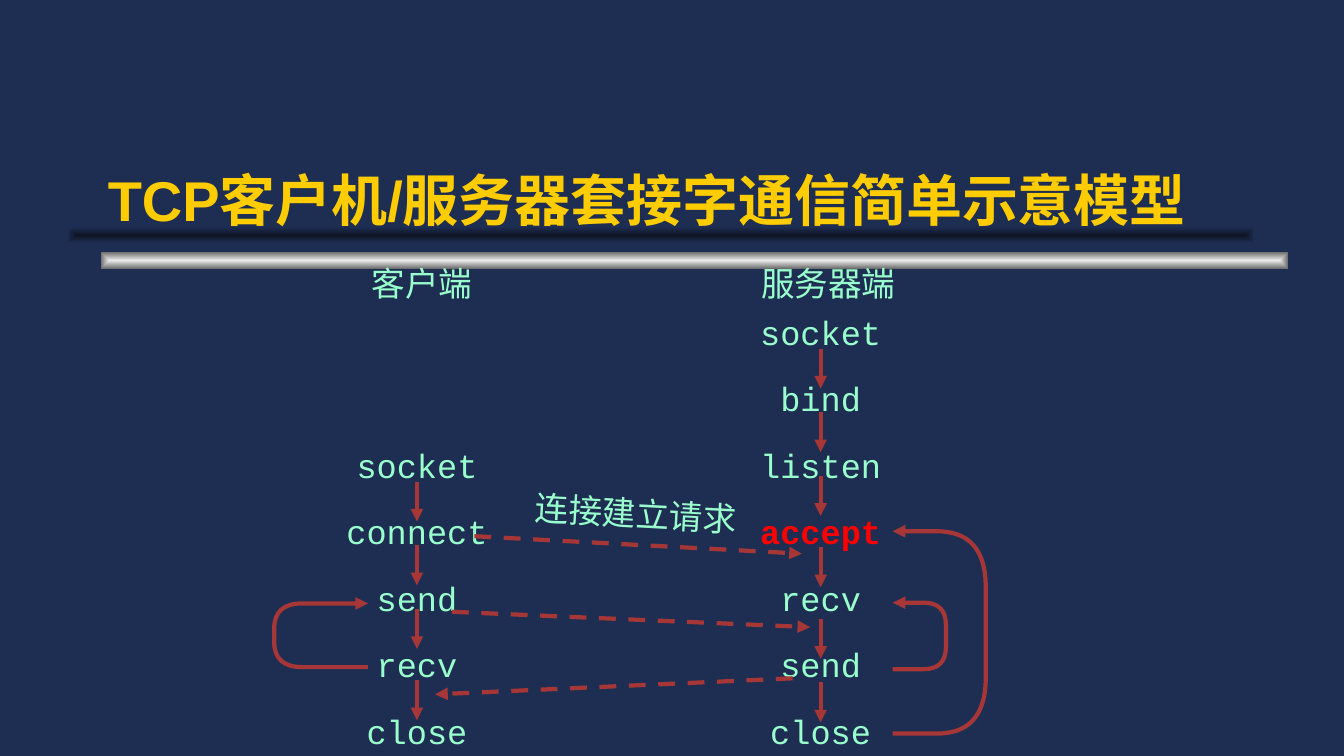
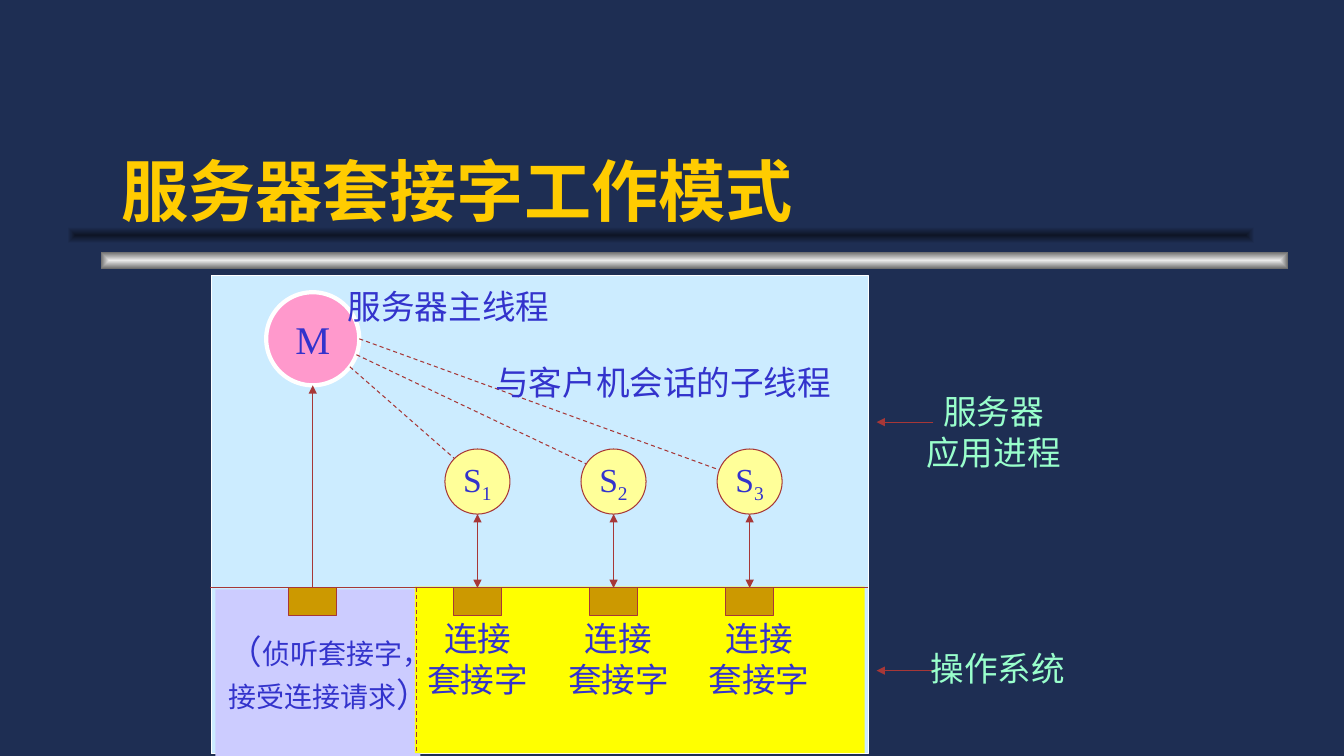
"""Build two slides on TCP sockets: the call sequence and the server threads."""
from math import cos, radians, sin

from lxml.etree import SubElement
from pptx import Presentation
from pptx.dml.color import RGBColor
from pptx.enum.dml import MSO_LINE
from pptx.enum.shapes import MSO_CONNECTOR, MSO_SHAPE
from pptx.enum.text import MSO_ANCHOR, PP_ALIGN
from pptx.oxml.ns import qn
from pptx.util import Pt

WIDE, HIGH = 960.5, 540
NAVY, GOLD, MINT, BRICK = "1E2E53", "FFCC00", "99FFCC", "A73737"
BLUE, WHITE, RED, OCHRE = "3333CC", "FFFFFF", "FF0000", "CC9900"
SKY, LILAC, YELLOW = "CCECFF", "CCCCFF", "FFFF00"
PINK, CREAM = "FF99CC", "FFFF99"
SANS, SERIF, MONO = "Arial", "Times New Roman", "Courier New"
BODY, THIN, THICK = 24, 0.75, 3
HEAD, TAIL = "headEnd", "tailEnd"

BANDS = [
    {"left": 72, "top": 180, "core": "EAEAEA", "rim": "6C6C6C"},
    {"left": 48, "top": 162, "core": "0E1526", "rim": NAVY},
]

SIDES = [
    {"title": "客户端", "center": 301.5, "mid": 298, "row": 2,
     "calls": ["socket", "connect", "send", "recv", "close"],
     "drops": [344, 389.5, 435, 486]},
    {"title": "服务器端", "center": 592, "mid": 586.5, "row": 0,
     "calls": ["socket", "bind", "listen", "accept", "recv", "send", "close"],
     "drops": [249, 294.5, 340, 391, 442, 487.5]},
]
TITLE_TOP, ROW_TOP, ROW_STEP, DROP = 184.5, 219, 47.5, 28.5
HOT = "accept"
REQUEST = {"text": "连接建立请求", "mid": 454.5, "top": 348.5, "turn": 3.1}
SENDS = [
    {"start": (339, 383), "end": (573, 395.5)},
    {"start": (323, 437), "end": (579, 448)},
    {"start": (566.5, 484.5), "end": (311, 496)},
]
LOOPS = [
    {"edge": 263, "side": 196, "low": 476.5, "high": 431, "bend": (20, 18)},
    {"edge": 638, "side": 676, "low": 478, "high": 430.5, "bend": (16, 16)},
    {"edge": 638, "side": 704.5, "low": 524, "high": 379.5, "bend": (35, 40)},
]

FLOOR = 420
PANELS = [
    {"box": (151, 196.5, 469.5, 342), "fill": SKY, "edge": WHITE},
    {"box": (154, 421, 146.5, 119), "fill": LILAC, "edge": None},
    {"box": (296.5, 419, 321.5, 119), "fill": YELLOW, "edge": None},
]
MAIN = {"mid": 223.5, "y": 242, "rad": 33.25, "fill": PINK,
        "edge": WHITE, "width": THICK, "size": 28}
CHILD = {"y": 344, "rad": 23.25, "fill": CREAM,
         "edge": BRICK, "width": THIN, "size": BODY}
CHILD_MID, CHILD_STEP = 341.25, 97.25
TAG, TAG_MID, TAG_STEP, TAG_TOP = ["连接", "套接字"], 341.5, 100.5, 438
LEAVE = [37, 20, 0]
REACH = [225, 213, 201]
PORT_WIDE, PORT_HIGH = 34, 19.5
NOTES = [
    {"lines": ["与客户机会话的子线程"], "mid": 474, "top": 253.5,
     "color": BLUE, "gap": 1.05},
    {"lines": ["服务器主线程"], "mid": 320.5, "top": 199.5,
     "color": BLUE, "gap": 1.05},
    {"lines": [[("（", 24), ("侦听套接字，", 20)],
               [("接受连接请求", 20), ("）", 24)]],
     "mid": 235.5, "top": 446, "color": BLUE, "gap": 1.05},
    {"lines": ["操作系统"], "mid": 713, "top": 459.5},
    {"lines": ["服务器", "应用进程"], "mid": 710, "top": 276},
]
POINTERS, POINT_FROM, POINT_TO = [301.5, 479], 667, 626.5
WALL = 297.5


def rgb(code):
    """Turn a hex string into a colour."""
    return RGBColor.from_string(code)


def write(para, parts, color, font=SERIF, bold=False):
    """Add (text, size) runs to a paragraph and return them."""
    runs = []
    for text, size in parts:
        run = para.add_run()
        run.text = text
        run.font.size, run.font.name, run.font.bold = Pt(size), font, bold
        run.font.color.rgb = rgb(color)
        runs.append(run)
    return runs


def extent(parts):
    """Estimate the width of (text, size) runs."""
    return sum(size * (0.6 if char.isascii() else 1)
               for text, size in parts for char in text)


def label(slide, lines, mid, top, color=MINT, font=SERIF, bold=False, gap=None):
    """Add centred lines, each a string or a list of (text, size) runs."""
    rows = [[(line, BODY)] if isinstance(line, str) else line for line in lines]
    wide, high = max(map(extent, rows)) + 14.4, 7 + 29 * len(rows)
    box = slide.shapes.add_textbox(Pt(mid - wide / 2), Pt(top), Pt(wide), Pt(high))
    frame = box.text_frame
    frame.word_wrap = False
    for i, parts in enumerate(rows):
        para = frame.add_paragraph() if i else frame.paragraphs[0]
        para.alignment = PP_ALIGN.CENTER
        if gap:
            para.line_spacing = gap
        write(para, parts, color, font, bold)
    return box


def block(slide, kind, box, fill=None, edge=None, width=THIN):
    """Add a flat shape with an optional fill and outline."""
    shape = slide.shapes.add_shape(kind, *map(Pt, box))
    shape.shadow.inherit = False
    if fill:
        shape.fill.solid()
        shape.fill.fore_color.rgb = rgb(fill)
    if edge:
        shape.line.color.rgb, shape.line.width = rgb(edge), Pt(width)
    else:
        shape.line.fill.background()
    return shape


def stroke(shape, width, ends):
    """Colour a line and add its arrowheads."""
    shape.line.color.rgb, shape.line.width = rgb(BRICK), Pt(width)
    outline = shape._element.spPr.find(qn("a:ln"))
    for end in ends:
        SubElement(outline, qn("a:" + end)).set("type", "triangle")


def link(slide, start, end, width=THIN, ends=(), dash=False):
    """Add a straight line between two points."""
    line = slide.shapes.add_connector(
        MSO_CONNECTOR.STRAIGHT, *map(Pt, (*start, *end)))
    if dash:
        line.line.dash_style = MSO_LINE.DASH
    stroke(line, width, ends)
    SubElement(line._element.spPr, qn("a:effectLst"))
    return line


def loop(slide, edge, side, low, high, bend):
    """Add an arrow that leaves low, rounds two corners and returns high."""
    across, down = bend
    turn = side - across if side > edge else side + across
    points = [(turn, low), (side, low), (side, low - down),
              (side, high + down), (side, high), (turn, high), (edge, high)]
    pen = slide.shapes.build_freeform(Pt(edge), Pt(low))
    pen.add_line_segments([(Pt(x), Pt(y)) for x, y in points], close=False)
    shape = pen.convert_to_shape()
    shape.shadow.inherit = False
    shape.fill.background()
    stroke(shape, THICK, [TAIL])
    steps = list(shape._element.iter(qn("a:lnTo")))
    for corner in (1, 4):
        steps[corner].tag = qn("a:quadBezTo")
        steps[corner].append(steps[corner + 1][0])
        steps[corner + 1].getparent().remove(steps[corner + 1])


def band(slide, left, top, core, rim):
    """Add a bar that shades from its core to its rim."""
    bar = block(slide, MSO_SHAPE.RECTANGLE, (left, top, 848.5, 12))
    bar.fill.gradient()
    for stop, code in zip(bar.fill.gradient_stops, (core, rim)):
        stop.color.rgb = rgb(code)
    grad = bar._element.spPr.find(qn("a:gradFill"))
    grad.remove(grad.find(qn("a:lin")))
    shade = SubElement(grad, qn("a:path"))
    shade.set("path", "rect")
    focus = SubElement(shade, qn("a:fillToRect"))
    for side in "ltrb":
        focus.set(side, "50000")


def begin(deck, title, size, box):
    """Add a slide with its bands and title."""
    slide = deck.slides.add_slide(deck.slide_layouts[6])
    for bar in BANDS:
        band(slide, **bar)
    frame = slide.shapes.add_textbox(*map(Pt, box)).text_frame
    frame.word_wrap, frame.vertical_anchor = True, MSO_ANCHOR.BOTTOM
    write(frame.paragraphs[0], [(title, size)], GOLD, SANS, True)
    return slide


def thread(slide, spec, mid, name, index=""):
    """Add the disc of a thread, with an optional subscript."""
    rad = spec["rad"]
    box = (mid - rad, spec["y"] - rad, 2 * rad, 2 * rad)
    disc = block(slide, MSO_SHAPE.OVAL, box, spec["fill"], spec["edge"], spec["width"])
    frame = disc.text_frame
    frame.word_wrap, frame.vertical_anchor = False, MSO_ANCHOR.MIDDLE
    para = frame.paragraphs[0]
    para.alignment = PP_ALIGN.CENTER
    write(para, [(name, spec["size"])], BLUE)
    if index:
        low, = write(para, [(index, spec["size"])], BLUE)
        low._r.get_or_add_rPr().set("baseline", "-25000")


def rim(spec, mid, angle):
    """Find the point on a disc at an angle, clockwise from the right."""
    turn = radians(angle)
    return mid + spec["rad"] * cos(turn), spec["y"] + spec["rad"] * sin(turn)


def port(slide, spec, mid, ends):
    """Add a socket below the floor and join it to the disc above."""
    box = (mid - PORT_WIDE / 2, FLOOR, PORT_WIDE, PORT_HIGH)
    socket = block(slide, MSO_SHAPE.RECTANGLE, box, OCHRE, BRICK)
    rise = link(slide, (mid, FLOOR), rim(spec, mid, 90), ends=ends)
    rise.begin_connect(socket, 0)


def draw_calls(deck):
    """Draw the calls of client and server."""
    slide = begin(deck, "TCP客户机/服务器套接字通信简单示意模型", 40,
                  (70, 80, 795.5, 90))
    for side in SIDES:
        mid = side["mid"]
        label(slide, [side["title"]], side["center"], TITLE_TOP)
        for row, call in enumerate(side["calls"], side["row"]):
            hot = call == HOT
            label(slide, [call], mid, ROW_TOP + row * ROW_STEP,
                  RED if hot else MINT, MONO, hot)
        for y in side["drops"]:
            link(slide, (mid, y), (mid, y + DROP), THICK, [TAIL])
    for spec in LOOPS:
        loop(slide, **spec)
    for send in SENDS:
        link(slide, **send, width=THICK, ends=[TAIL], dash=True)
    note = label(slide, [REQUEST["text"]], REQUEST["mid"], REQUEST["top"])
    note.rotation = REQUEST["turn"]


def draw_threads(deck):
    """Draw the server threads and their sockets."""
    slide = begin(deck, "服务器套接字工作模式", 48, (79.5, 78, 751.5, 90))
    for panel in PANELS:
        block(slide, MSO_SHAPE.RECTANGLE, **panel)
    link(slide, (150, FLOOR), (620, FLOOR))
    thread(slide, MAIN, MAIN["mid"], "M")
    port(slide, MAIN, MAIN["mid"], [TAIL])
    for i, (leave, reach) in enumerate(zip(LEAVE, REACH)):
        mid = CHILD_MID + i * CHILD_STEP
        thread(slide, CHILD, mid, "S", str(i + 1))
        port(slide, CHILD, mid, [HEAD, TAIL])
        link(slide, rim(MAIN, MAIN["mid"], leave), rim(CHILD, mid, reach), dash=True)
        label(slide, TAG, TAG_MID + i * TAG_STEP, TAG_TOP, BLUE)
    for y in POINTERS:
        link(slide, (POINT_FROM, y), (POINT_TO, y), ends=[TAIL])
    for note in NOTES:
        label(slide, **note)
    link(slide, (WALL, FLOOR), (WALL, 538.5), dash=True)


def main():
    """Build and save the deck."""
    deck = Presentation()
    deck.slide_width, deck.slide_height = Pt(WIDE), Pt(HIGH)
    back = deck.slide_master.background.fill
    back.solid()
    back.fore_color.rgb = rgb(NAVY)
    draw_calls(deck)
    draw_threads(deck)
    deck.save("out.pptx")


if __name__ == "__main__":
    main()
